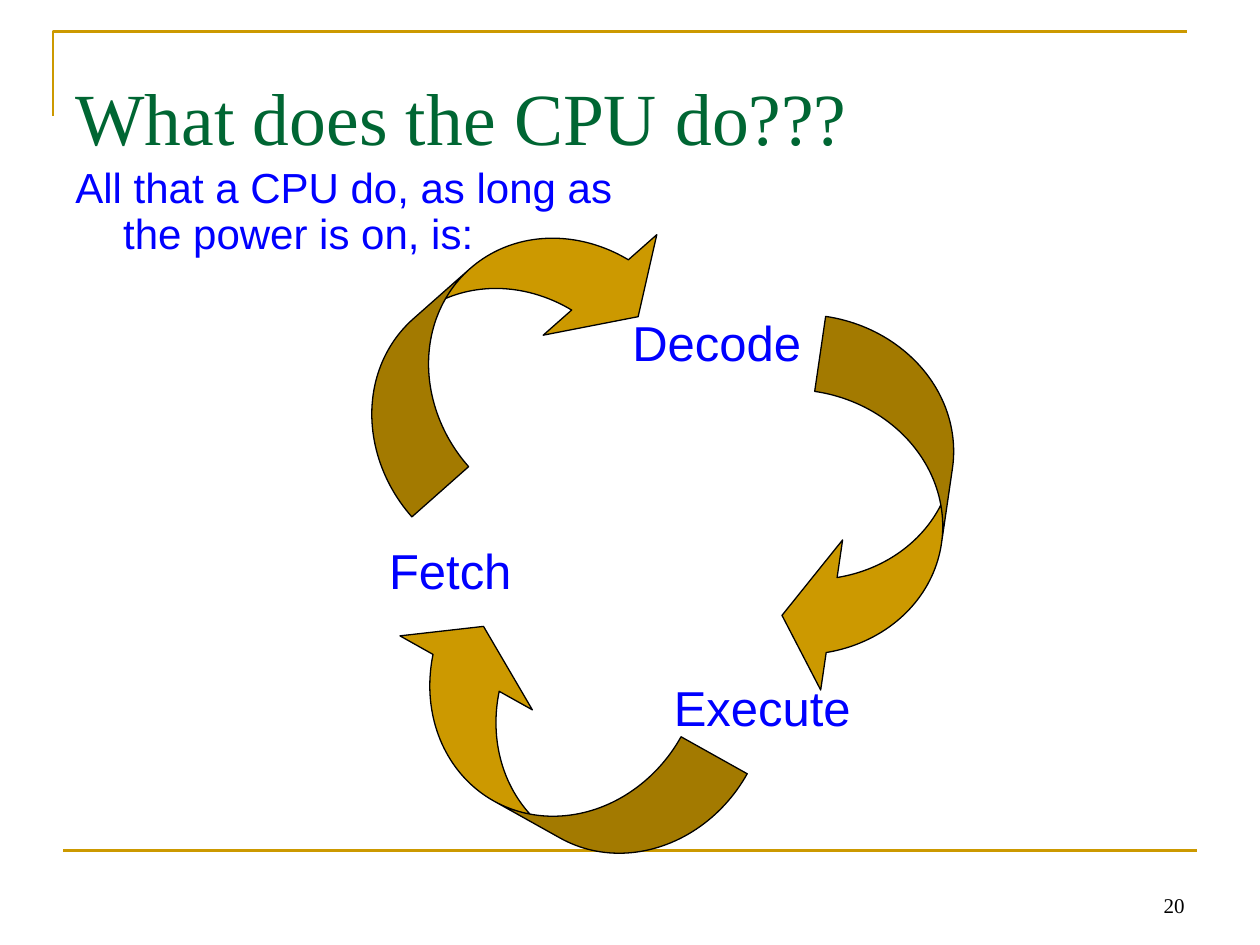
"""Build the CPU cycle slide: fetch, decode, execute."""
from dataclasses import dataclass

from lxml.etree import SubElement
from pptx import Presentation
from pptx.dml.color import RGBColor as RGB
from pptx.enum.shapes import MSO_CONNECTOR as CONN, MSO_SHAPE as SHAPE
from pptx.enum.text import MSO_ANCHOR as ANCHOR, MSO_AUTO_SIZE as FIT, PP_ALIGN as ALIGN
from pptx.oxml.ns import qn
from pptx.shapes.autoshape import Shape
from pptx.slide import Slide
from pptx.text.text import TextFrame, _Paragraph as Paragraph
from pptx.util import Inches, Pt


@dataclass(frozen=True)
class Style:
    font: str
    size: int
    color: RGB


@dataclass(frozen=True)
class Theme:
    gold: RGB = RGB(0xCC, 0x99, 0x00)
    black: RGB = RGB(0, 0, 0)
    rule: float = 1.5
    outline: float = 0.75
    title: Style = Style("Times New Roman", 42, RGB(0x00, 0x66, 0x33))
    body: Style = Style("Arial", 24, RGB(0, 0, 0xFF))
    step: Style = Style("Arial", 28, RGB(0, 0, 0xFF))
    number: Style = Style("Times New Roman", 12, RGB(0, 0, 0))


@dataclass(frozen=True)
class Box:
    left: float
    top: float
    width: float
    height: float

    def emu(self) -> tuple[int, int, int, int]:
        return tuple(Inches(v) for v in (self.left, self.top, self.width, self.height))


@dataclass(frozen=True)
class CycleArrow:
    left: float
    top: float
    rotation: float


@dataclass(frozen=True)
class Step:
    text: str
    box: Box


THEME = Theme()
ARROW_WIDTH, ARROW_HEIGHT = 1.17, 3
ARROW_ADJUSTMENTS = (0.514, 1.029, 0.333)
ARROWS = (
    CycleArrow(3.42, 1.17, 228.5),
    CycleArrow(6.33, 2.58, 8.3),
    CycleArrow(3.75, 4.42, 119.2),
)
STEPS = (
    Step("Fetch", Box(2.99, 4.24, 1.17, 0.57)),
    Step("Execute", Box(5.25, 5.33, 1.6, 0.57)),
    Step("Decode", Box(4.92, 2.43, 1.54, 0.57)),
)


def write(tf: TextFrame, text: str, style: Style) -> Paragraph:
    """Add one styled run to the first paragraph and return the paragraph."""
    p = tf.paragraphs[0]
    r = p.add_run()
    r.text = text
    r.font.name = style.font
    r.font.size = Pt(style.size)
    r.font.color.rgb = style.color
    return p


def add_text(s: Slide, box: Box, wrap: bool = True) -> TextFrame:
    """Add an empty text box and return its frame."""
    tf = s.shapes.add_textbox(*box.emu()).text_frame
    tf.word_wrap = wrap
    return tf


def add_frame(s: Slide) -> None:
    """Draw the corner rule at the top and the straight rule at the bottom."""
    fb = s.shapes.build_freeform(Inches(0.42), Inches(0.92))
    fb.add_line_segments([(Inches(0.42), Inches(0.25)), (Inches(9.42), Inches(0.25))], close=False)
    corner = fb.convert_to_shape()
    corner.shadow.inherit = False
    corner.fill.background()
    base = s.shapes.add_connector(
        CONN.STRAIGHT, Inches(0.5), Inches(6.75), Inches(9.5), Inches(6.75))
    for sp in (corner, base):
        sp.line.color.rgb = THEME.gold
        sp.line.width = Pt(THEME.rule)
    SubElement(base.line._get_or_add_ln().getparent(), qn("a:effectLst"))


def add_arrow(s: Slide, arrow: CycleArrow) -> Shape:
    """Draw one curved arrow of the cycle."""
    box = Box(arrow.left, arrow.top, ARROW_WIDTH, ARROW_HEIGHT)
    sp = s.shapes.add_shape(SHAPE.CURVED_LEFT_ARROW, *box.emu())
    for i, value in enumerate(ARROW_ADJUSTMENTS):
        sp.adjustments[i] = value
    sp.rotation = arrow.rotation
    sp.shadow.inherit = False
    sp.fill.solid()
    sp.fill.fore_color.rgb = THEME.gold
    sp.line.color.rgb = THEME.black
    sp.line.width = Pt(THEME.outline)
    return sp


def add_step(s: Slide, step: Step) -> None:
    """Label one step of the cycle."""
    tf = add_text(s, step.box, wrap=False)
    tf.auto_size = FIT.SHAPE_TO_FIT_TEXT
    write(tf, step.text, THEME.step)


def add_title(s: Slide, text: str) -> None:
    """Place and fill the title placeholder."""
    sp = s.shapes.title
    sp.left, sp.top, sp.width, sp.height = Box(0.5, 0.3, 9, 1.25).emu()
    tf = sp.text_frame
    tf.vertical_anchor = ANCHOR.MIDDLE
    write(tf, text, THEME.title).alignment = ALIGN.LEFT


def add_intro(s: Slide, text: str) -> None:
    """Add the introduction with a hanging indent."""
    p = write(add_text(s, Box(0.5, 1.28, 5, 0.9)), text, THEME.body)
    p.line_spacing = 0.9
    p.space_before = Pt(15)
    pPr = p._p.get_or_add_pPr()
    pPr.set("marL", str(Inches(0.38)))
    pPr.set("indent", str(-Inches(0.38)))


def add_number(s: Slide, text: str) -> None:
    """Add the page number at the bottom right."""
    tf = add_text(s, Box(7.17, 6.83, 2.33, 0.5))
    tf.vertical_anchor = ANCHOR.BOTTOM
    write(tf, text, THEME.number).alignment = ALIGN.RIGHT


def main() -> None:
    """Build and save the slide."""
    prs = Presentation()
    prs.slide_width, prs.slide_height = Inches(10), Inches(7.5)
    s = prs.slides.add_slide(prs.slide_layouts[5])
    add_frame(s)
    add_number(s, "20")
    add_title(s, "What does the CPU do???")
    for arrow in ARROWS:
        add_arrow(s, arrow)
    for step in STEPS:
        add_step(s, step)
    add_intro(s, "All that a CPU do, as long as the power is on, is:")
    prs.save("out.pptx")


if __name__ == "__main__":
    main()
